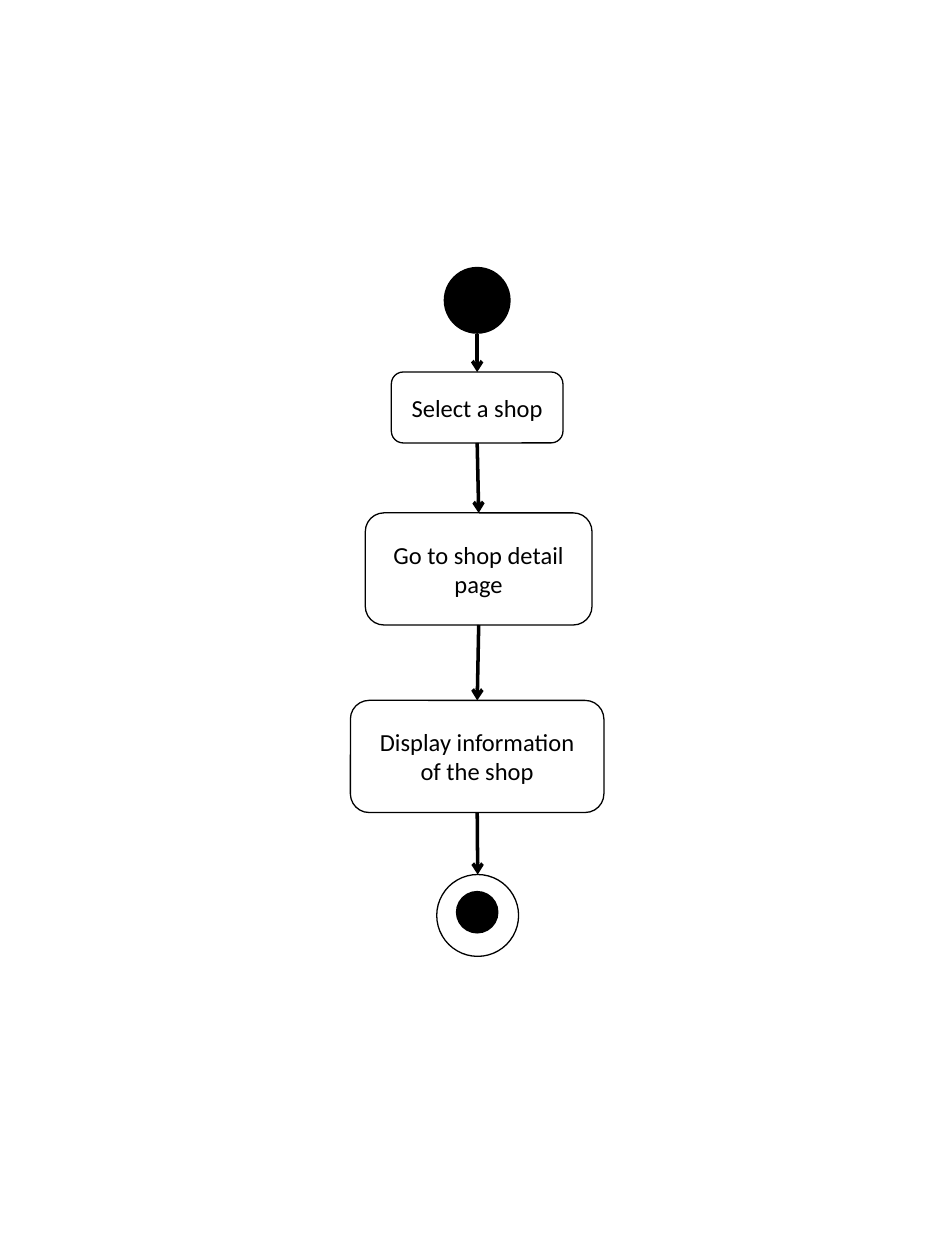
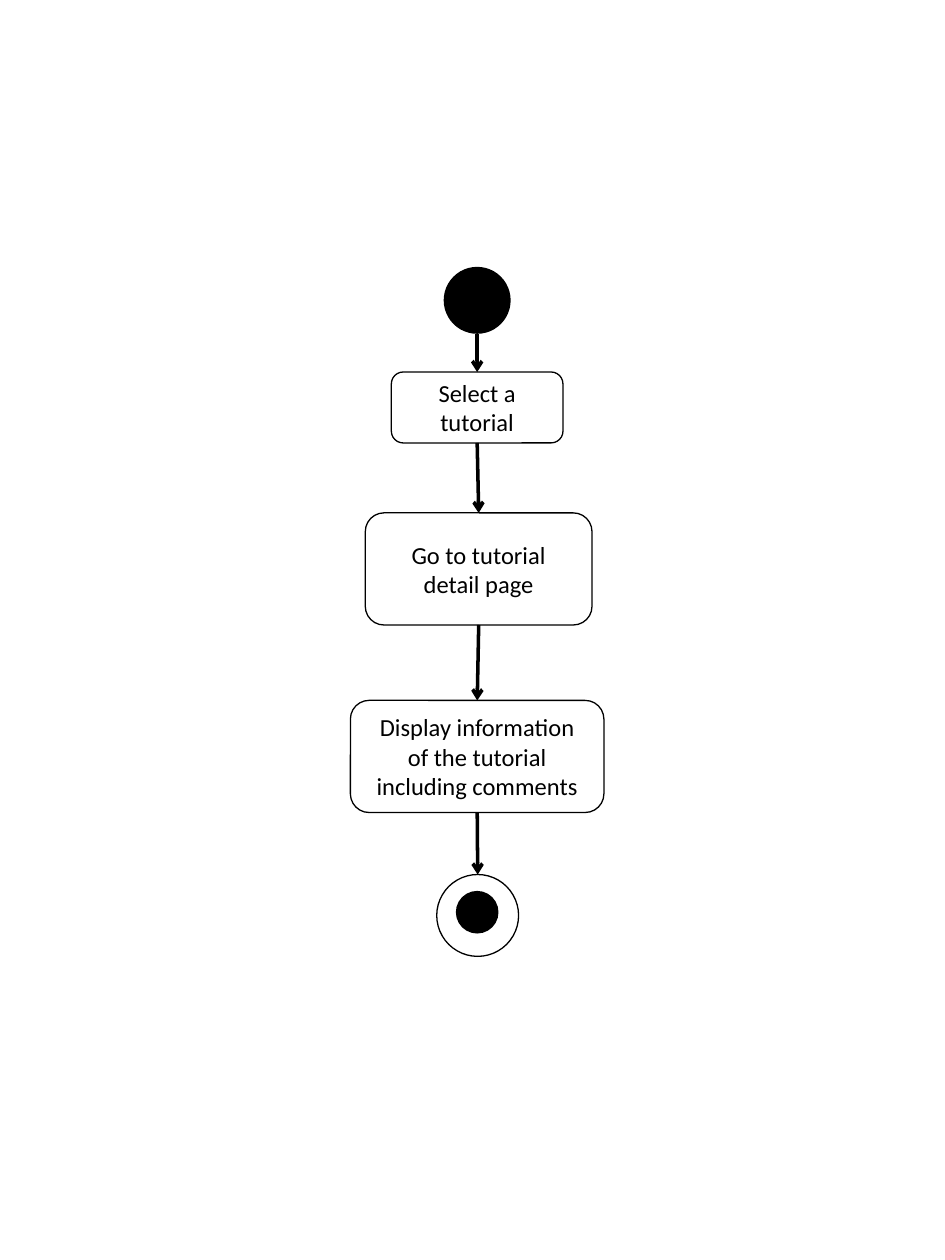
from dataclasses import dataclass

from lxml import etree
from pptx import Presentation
from pptx.dml.color import RGBColor
from pptx.enum.shapes import MSO_CONNECTOR, MSO_SHAPE
from pptx.enum.text import MSO_ANCHOR, PP_ALIGN
from pptx.oxml.ns import qn
from pptx.util import Cm, Pt

OVAL = MSO_SHAPE.OVAL
ROUND = MSO_SHAPE.ROUNDED_RECTANGLE
LINE = MSO_CONNECTOR.STRAIGHT
CENTER = PP_ALIGN.CENTER
MIDDLE = MSO_ANCHOR.MIDDLE
TOP, BOTTOM = 0, 2  # connection sites


@dataclass(frozen=True)
class Theme:
    ink: RGBColor = RGBColor(0, 0, 0)
    paper: RGBColor = RGBColor(255, 255, 255)
    font: str = "Calibri"
    size: Pt = Pt(14)
    edge: Pt = Pt(0.75)
    flow: Pt = Pt(2)


theme = Theme()


def add_node(slide, kind, mid, top, width, height, solid=False):
    """Add a shape centred on mid (cm): solid ink, or paper with an edge."""
    node = slide.shapes.add_shape(
        kind, Cm(mid - width / 2), Cm(top), Cm(width), Cm(height))
    node.shadow.inherit = False
    node.fill.solid()
    node.fill.fore_color.rgb = theme.ink if solid else theme.paper
    if solid:
        node.line.fill.background()
    else:
        node.line.color.rgb = theme.ink
        node.line.width = theme.edge
    return node


def write(node, text, font=theme.font, size=theme.size, color=theme.ink,
          align=CENTER, anchor=MIDDLE):
    """Put one formatted paragraph into a shape."""
    frame = node.text_frame
    frame.word_wrap = True
    frame.vertical_anchor = anchor
    para = frame.paragraphs[0]
    para.alignment = align
    run = para.add_run()
    run.text = text
    run.font.name = font
    run.font.size = size
    run.font.color.rgb = color


# Layout shared by the slides, in cm: middle, top, width, height
START = (9.62, 5.38, 1.35, 1.35)
STEPS = [
    (9.62, 7.5, 3.46, 1.43),
    (9.65, 10.34, 4.57, 2.26),
    (9.62, 14.12, 5.11, 2.26),
]
RING = (9.63, 17.63, 1.65, 1.65)
DOT = (9.62, 17.96, 0.86, 0.86)

# Step texts, one list per slide
FLOWS = [
    ["Select a shop",
     "Go to shop detail page",
     "Display information of the shop"],
    ["Select a tutorial",
     "Go to tutorial detail page",
     "Display information of the tutorial including comments"],
]

deck = Presentation()
deck.slide_width, deck.slide_height = Cm(19.05), Cm(25.4)
blank = deck.slide_layouts[6]

for flow in FLOWS:
    slide = deck.slides.add_slide(blank)

    # Start, steps and end, from top to bottom
    nodes = [add_node(slide, OVAL, *START, solid=True)]
    for place, text in zip(STEPS, flow):
        step = add_node(slide, ROUND, *place)
        write(step, text)
        nodes.append(step)
    nodes.append(add_node(slide, OVAL, *RING))
    add_node(slide, OVAL, *DOT, solid=True)

    # Arrows from each node to the next
    for upper, lower in zip(nodes, nodes[1:]):
        arrow = slide.shapes.add_connector(
            LINE, upper.left + upper.width // 2, upper.top + upper.height,
            lower.left + lower.width // 2, lower.top)
        if upper.auto_shape_type == ROUND:
            arrow.begin_connect(upper, BOTTOM)
        arrow.end_connect(lower, TOP)
        arrow.line.color.rgb = theme.ink
        arrow.line.width = theme.flow
        etree.SubElement(arrow.line._get_or_add_ln(), qn("a:tailEnd"),
                         type="arrow")
        etree.SubElement(arrow._element.spPr, qn("a:effectLst"))

deck.save("out.pptx")
